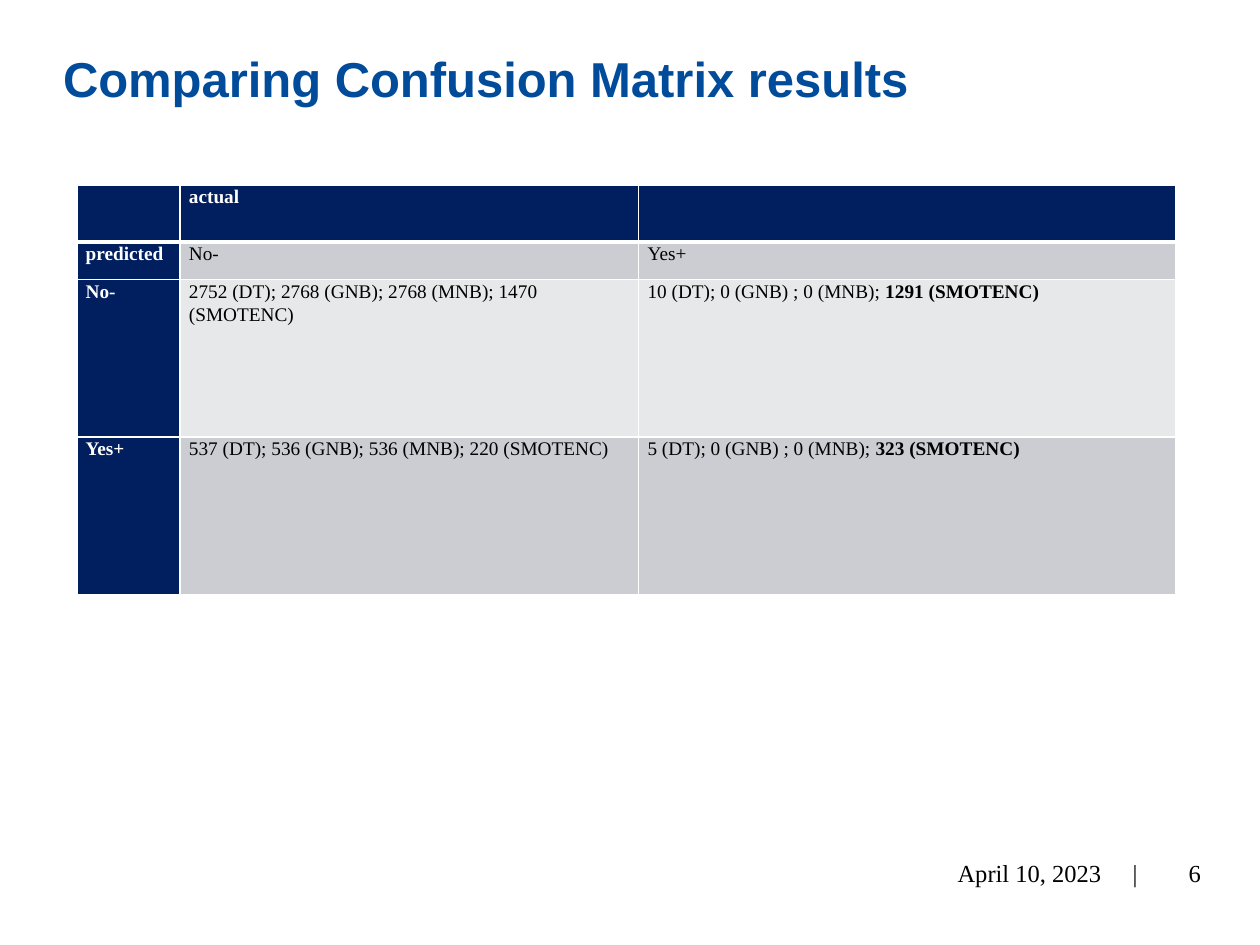
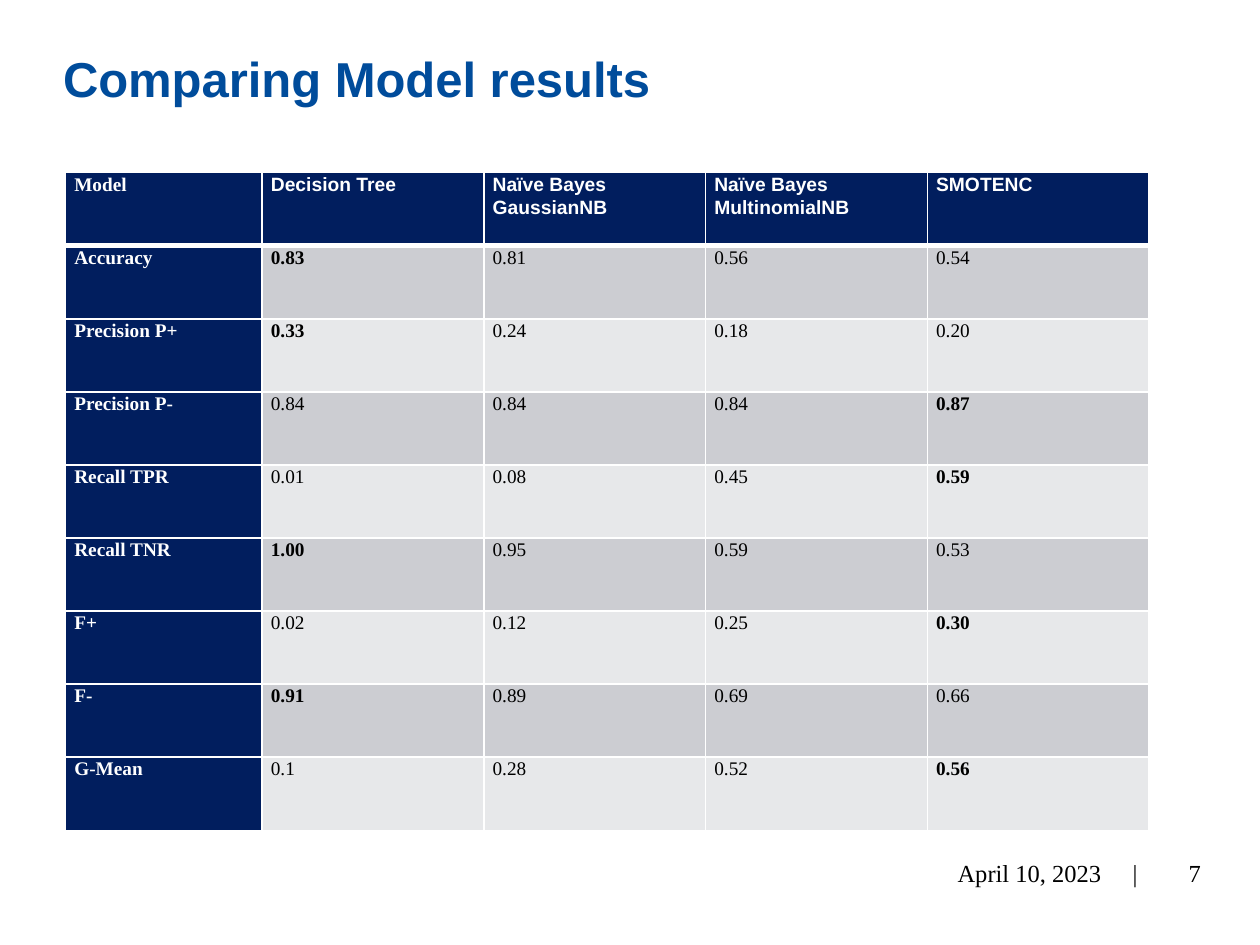
"""Build the two slides that compare the classifiers' results."""
import dataclasses

import pptx
import pptx.dml.color
import pptx.enum.text
import pptx.oxml
import pptx.oxml.ns
import pptx.util

Inches = pptx.util.Inches
Pt = pptx.util.Pt


@dataclasses.dataclass(frozen=True)
class Theme:
    title: str = "004C9B"
    header: str = "011E5E"
    bands: tuple = ("E7E8EA", "CCCDD2")
    light: str = "FFFFFF"
    dark: str = "000000"
    sans: str = "Arial"
    serif: str = "Times New Roman"
    title_size: float = 28
    title_line: float = 26.6
    cell_size: float = 11
    footer_size: float = 14
    rule: float = 1
    header_rule: float = 3


THEME = Theme()
DATE = "April 10, 2023"

CONFUSION = [
    ["", "actual", ""],
    ["predicted", "No-", "Yes+"],
    ["No-", "2752 (DT); 2768 (GNB); 2768 (MNB); 1470 (SMOTENC)",
     [("10 (DT); 0 (GNB) ; 0 (MNB); ", False), ("1291 (SMOTENC)", True)]],
    ["Yes+", "537 (DT); 536 (GNB); 536 (MNB); 220 (SMOTENC)",
     [("5 (DT); 0 (GNB) ; 0 (MNB); ", False), ("323 (SMOTENC)", True)]],
]

MODELS = ["Model", "Decision Tree", "Naïve Bayes GaussianNB",
          "Naïve Bayes MultinomialNB", "SMOTENC"]
SCORES = {
    "Accuracy": ["0.83", "0.81", "0.56", "0.54"],
    "Precision P+": ["0.33", "0.24", "0.18", "0.20"],
    "Precision P-": ["0.84", "0.84", "0.84", "0.87"],
    "Recall TPR": ["0.01", "0.08", "0.45", "0.59"],
    "Recall TNR": ["1.00", "0.95", "0.59", "0.53"],
    "F+": ["0.02", "0.12", "0.25", "0.30"],
    "F-": ["0.91", "0.89", "0.69", "0.66"],
    "G-Mean": ["0.1", "0.28", "0.52", "0.56"],
}


def rgb(color):
    """Return a colour object for a hex string."""
    return pptx.dml.color.RGBColor.from_string(color)


def add_run(p, text, size, font, color, bold=False):
    """Append a formatted run to a paragraph."""
    r = p.add_run()
    r.text = text
    r.font.size = Pt(size)
    r.font.name = font
    r.font.bold = bold
    r.font.color.rgb = rgb(color)


def add_title(s, text):
    """Place and fill the title placeholder."""
    sp = s.shapes.title
    sp.left, sp.top = Inches(0.4), Inches(0.43)
    sp.width, sp.height = Inches(9.24), Inches(1.17)
    tf = sp.text_frame
    tf.word_wrap = True
    tf.auto_size = pptx.enum.text.MSO_AUTO_SIZE.NONE
    tf.vertical_anchor = pptx.enum.text.MSO_ANCHOR.TOP
    p = tf.paragraphs[0]
    p.alignment = pptx.enum.text.PP_ALIGN.LEFT
    p.line_spacing = Pt(THEME.title_line)
    add_run(p, text, THEME.title_size, THEME.sans, THEME.title, True)


def add_footer_box(s, left, width):
    """Add a footer text box and return its text frame."""
    sp = s.shapes.add_textbox(Inches(left), Inches(6.73), Inches(width), Inches(0.4))
    tf = sp.text_frame
    tf.word_wrap = True
    tf.vertical_anchor = pptx.enum.text.MSO_ANCHOR.MIDDLE
    return tf


def add_footer(s, number):
    """Add the date with its divider, and the slide number."""
    style = THEME.footer_size, THEME.serif, THEME.dark
    tf = add_footer_box(s, 6.86, 2.27)
    tf.margin_left, tf.margin_right = Inches(0.74), 0
    p = tf.paragraphs[0]
    tabs = pptx.oxml.parse_xml(
        f'<a:tabLst {pptx.oxml.ns.nsdecls("a")}>'
        f'<a:tab pos="{Inches(1.39)}" algn="l"/></a:tabLst>')
    p._p.get_or_add_pPr().append(tabs)
    add_run(p, f"{DATE}\t|", *style)
    p = add_footer_box(s, 8.89, 0.74).paragraphs[0]
    p.alignment = pptx.enum.text.PP_ALIGN.RIGHT
    add_run(p, str(number), *style)


def set_borders(cell, top, bottom):
    """Draw light rules around a cell, with given top and bottom weights."""
    weights = {"lnL": THEME.rule, "lnR": THEME.rule, "lnT": top, "lnB": bottom}
    tc_pr = cell._tc.get_or_add_tcPr()
    for i, (side, weight) in enumerate(weights.items()):
        tc_pr.insert(i, pptx.oxml.parse_xml(
            f'<a:{side} {pptx.oxml.ns.nsdecls("a")} w="{Pt(weight)}">'
            f'<a:solidFill><a:srgbClr val="{THEME.light}"/></a:solidFill></a:{side}>'))


def fill_cell(cell, content, row, col, head_font):
    """Style one table cell and write its runs."""
    is_head = row == 0 or col == 0
    cell.margin_left = cell.margin_right = Inches(0.07)
    cell.margin_top = cell.margin_bottom = 0
    cell.fill.solid()
    cell.fill.fore_color.rgb = rgb(THEME.header if is_head else THEME.bands[row % 2])
    set_borders(cell, THEME.header_rule if row == 1 else THEME.rule,
                THEME.header_rule if row == 0 else THEME.rule)
    if not content:
        return
    runs = [(content, is_head)] if isinstance(content, str) else content
    font = head_font if row == 0 and col > 0 else THEME.serif
    color = THEME.light if is_head else THEME.dark
    p = cell.text_frame.paragraphs[0]
    p.line_spacing = 1.07
    p.space_after = Pt(10)
    for text, bold in runs:
        add_run(p, text, THEME.cell_size, font, color, bold)


def add_results_table(s, rows, left, top, widths, heights, head_font=THEME.serif):
    """Add a table with dark headers and banded body rows."""
    frame = s.shapes.add_table(len(rows), len(widths), Inches(left), Inches(top),
                               Inches(sum(widths)), Inches(sum(heights)))
    table = frame.table
    table.first_col = True
    for column, width in zip(table.columns, widths):
        column.width = Inches(width)
    for i, (contents, height) in enumerate(zip(rows, heights)):
        table.rows[i].height = Inches(height)
        for j, content in enumerate(contents):
            fill_cell(table.cell(i, j), content, i, j, head_font)


def score_rows():
    """Return the model table's rows with each best score in bold."""
    rows = [MODELS]
    for metric, scores in SCORES.items():
        best = max(scores, key=float)
        is_tie = scores.count(best) > 1
        rows.append([metric] + [[(v, v == best and not is_tie)] for v in scores])
    return rows


def add_slide(prs, title, number):
    """Add a slide with the shared title and footer."""
    s = prs.slides.add_slide(prs.slide_layouts[5])
    add_title(s, title)
    add_footer(s, number)
    return s


def main():
    """Build and save the presentation."""
    prs = pptx.Presentation()
    prs.slide_width, prs.slide_height = Inches(10), Inches(7.5)
    s = add_slide(prs, "Comparing Confusion Matrix results", 6)
    add_results_table(s, CONFUSION, 0.61, 1.47,
                      [0.82, 3.64, 4.26], [0.45, 0.3, 1.25, 1.25])
    s = add_slide(prs, "Comparing Model results", 7)
    rows = score_rows()
    add_results_table(s, rows, 0.52, 1.37, [1.56] + [1.76] * 4,
                      [0.58] * len(rows), THEME.sans)
    prs.save("out.pptx")


if __name__ == "__main__":
    main()
